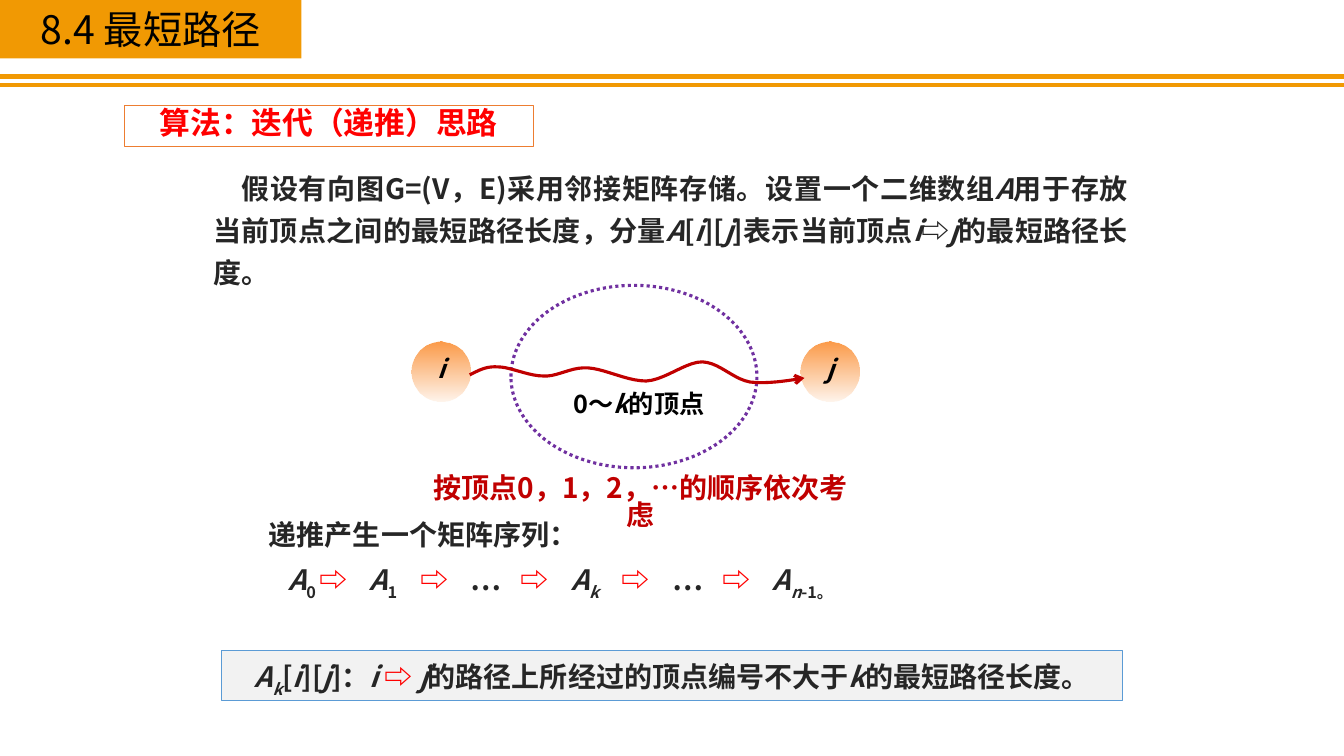
"""Build the slide on the iterative idea behind all-pairs shortest paths."""
from dataclasses import dataclass
from typing import NamedTuple

import lxml.etree
import pptx
import pptx.dml.color
import pptx.enum.dml
import pptx.enum.shapes
import pptx.enum.text
import pptx.oxml.ns
import pptx.util

Pt = pptx.util.Pt
qn = pptx.oxml.ns.qn
FORM = pptx.enum.shapes.MSO_SHAPE
ALIGN = pptx.enum.text.PP_ALIGN
ANCHOR = pptx.enum.text.MSO_ANCHOR

FONT = "Noto Sans CJK SC"
HUES = {
    "band": "F19903", "black": "000000", "ink": "262626", "red": "FF0000",
    "dark": "C00000", "edge": "ED7D31", "blue": "5B9BD5", "grey": "F2F2F2",
    "node": "FC9A48", "ring": "7030A0",
}


class Run(NamedTuple):
    text: str
    slant: bool = False
    hue: str = ""
    base: int = 0


@dataclass
class Para:
    runs: list[Run]
    indent: float = 0
    tabs: tuple[float, ...] = ()
    before: float = 0


@dataclass
class Box:
    place: tuple[float, float, float, float]
    paras: list[Para]
    size: float = 20
    hue: str = "ink"
    bold: bool = True
    align: ALIGN = ALIGN.CENTER
    pitch: float | pptx.util.Length = 0.8
    inset: tuple[float, float, float, float] = (7.2, 3.6, 7.2, 3.6)
    framed: bool = False
    fill: str = ""
    line: str = ""


class Node(NamedTuple):
    name: str
    left: float


def shade(hue: str) -> pptx.dml.color.RGBColor:
    """Return the colour that a hue name stands for."""
    return pptx.dml.color.RGBColor.from_string(HUES[hue])


def paint(shape, fill: str = "", line: str = "", width: float = 0.5) -> None:
    """Set the fill and outline of a shape, or clear them."""
    shape.shadow.inherit = False
    if fill:
        shape.fill.solid()
        shape.fill.fore_color.rgb = shade(fill)
    else:
        shape.fill.background()
    if line:
        shape.line.color.rgb = shade(line)
        shape.line.width = Pt(width)
    else:
        shape.line.fill.background()


def write(frame, box: Box) -> None:
    """Fill a text frame with the paragraphs of a box."""
    frame.word_wrap = True
    frame.vertical_anchor = ANCHOR.TOP
    (frame.margin_left, frame.margin_top,
     frame.margin_right, frame.margin_bottom) = map(Pt, box.inset)
    for rank, para in enumerate(box.paras):
        block = frame.add_paragraph() if rank else frame.paragraphs[0]
        block.alignment = box.align
        block.line_spacing = box.pitch
        if para.before:
            block.space_before = Pt(para.before)
        props = block._p.get_or_add_pPr()
        props.set("marL", "0")
        props.set("indent", str(Pt(para.indent)))
        if para.tabs:
            stops = lxml.etree.SubElement(props, qn("a:tabLst"))
            for stop in para.tabs:
                lxml.etree.SubElement(stops, qn("a:tab"), pos=str(Pt(stop)), algn="l")
        for part in para.runs:
            run = block.add_run()
            run.text = part.text
            font = run.font
            font.size, font.name = Pt(box.size), FONT
            font.bold, font.italic = box.bold, part.slant
            font.color.rgb = shade(part.hue or box.hue)
            traits = run._r.get_or_add_rPr()
            lxml.etree.SubElement(traits, qn("a:ea"), typeface=FONT)
            if part.base:
                traits.set("baseline", str(part.base * 1000))


def add_box(slide, box: Box) -> None:
    """Draw a text box or a framed rectangle with its text."""
    place = map(Pt, box.place)
    if box.framed:
        shape = slide.shapes.add_shape(FORM.RECTANGLE, *place)
        paint(shape, box.fill, box.line)
    else:
        shape = slide.shapes.add_textbox(*place)
    write(shape.text_frame, box)


def add_rule(slide, top: float) -> None:
    """Draw a rule across the slide."""
    rule = slide.shapes.add_connector(
        pptx.enum.shapes.MSO_CONNECTOR.STRAIGHT, Pt(0), Pt(top), Pt(960), Pt(top))
    rule.line.color.rgb = shade("band")
    rule.line.width = Pt(3)
    lxml.etree.SubElement(rule._element.spPr, qn("a:effectLst"))


def add_node(slide, node: Node) -> None:
    """Draw a graph vertex that fades towards its foot."""
    disc = slide.shapes.add_shape(
        FORM.OVAL, Pt(node.left), Pt(244.1), Pt(42.5), Pt(42.5))
    paint(disc)
    disc.fill.gradient()
    disc.fill.gradient_angle = 270
    for stop in disc.fill.gradient_stops:
        stop.color.rgb = shade("node")
    last = disc._element.spPr.findall(".//" + qn("a:srgbClr"))[-1]
    lxml.etree.SubElement(last, qn("a:alpha"), val="10000")
    write(disc.text_frame, Box((0, 0, 0, 0), [Para([Run(node.name, True)])], 18, "black"))
    disc.text_frame.vertical_anchor = ANCHOR.MIDDLE


def add_wave(slide, start: tuple, bends: list[tuple], steps: int = 10) -> None:
    """Draw the wavy arrow through a chain of cubic bends."""
    dots, here = [], start
    for bend in bends:
        knots = (here, bend[:2], bend[2:4], bend[4:])
        for step in range(1, steps + 1):
            t = step / steps
            loads = ((1 - t) ** 3, 3 * t * (1 - t) ** 2, 3 * t * t * (1 - t), t ** 3)
            dots.append(tuple(
                Pt(sum(load * knot[axis] for load, knot in zip(loads, knots)))
                for axis in (0, 1)))
        here = bend[4:]
    pen = slide.shapes.build_freeform(Pt(start[0]), Pt(start[1]))
    pen.add_line_segments(dots, close=False)
    wave = pen.convert_to_shape()
    paint(wave, line="dark", width=2.25)
    lxml.etree.SubElement(wave.line._get_or_add_ln(), qn("a:tailEnd"), type="arrow")


ARROW = Run("⇨\t", hue="red")
BOXES = [
    Box((0, 0, 215.3, 41.8), [Para([Run("8.4 最短路径")])], 28, "black", False,
        inset=(4.3, 10, 4.3, 4.3), framed=True, fill="band"),
    Box((145.4, 113, 667.4, 98), [Para([
        Run("假设有向图G=(V，E)采用邻接矩阵存储。设置一个二维数组"), Run("A", True),
        Run("用于存放当前顶点之间的最短路径长度，分量"), Run("A", True), Run("["),
        Run("i", True), Run("]["), Run("j", True), Run("]表示当前顶点"),
        Run("i", True), Run("⇨"), Run("j", True), Run("的最短路径长度。"),
    ], indent=20)], align=ALIGN.JUSTIFY, pitch=Pt(30)),
    Box((88.6, 75.6, 292.3, 28.8), [Para([Run("算法：迭代（递推）思路")])],
        22, "red", framed=True, line="edge"),
    Box((158.4, 464.4, 643.7, 36), [Para([
        Run("A", True), Run("k", True, base=-30), Run("["), Run("i", True), Run("]["),
        Run("j", True), Run("]："), Run("i ", True), Run("⇨ ", hue="red"),
        Run("j", True), Run("的路径上所经过的顶点编号不大于"), Run("k", True),
        Run("的最短路径长度。"),
    ])], inset=(7.2, 8.6, 7.2, 8.6), framed=True, fill="grey", line="blue"),
    Box((394.6, 278, 123.8, 24.5),
        [Para([Run("0～"), Run("k", True), Run("的顶点")])], 18, "black"),
    Box((294.5, 337, 326.2, 55.4),
        [Para([Run("按顶点0，1，2，…的顺序依次考虑")])], hue="dark"),
    Box((185, 370.8, 455.8, 67.7), [
        Para([Run("递推产生一个矩阵序列：")]),
        Para([
            Run("A", True), Run("0\t", base=-30), ARROW,
            Run("A", True), Run("1\t", base=-30), ARROW, Run("…\t"), ARROW,
            Run("A", True), Run("k\t", True, base=-30), ARROW, Run("…\t"), ARROW,
            Run("A", True), Run("n", True, base=-30), Run("-1。", base=-30),
        ], 14, (39.5, 70, 93.5, 123, 149, 178.5, 202.5, 228, 258, 288), 10),
    ], align=ALIGN.LEFT),
]
NODES = [Node("i", 293.8), Node("j", 571.7)]
BENDS = [
    (341.3, 265, 347, 261.4, 355.7, 262.1),
    (364.3, 262.1, 377.3, 268.6, 388.1, 268.6),
    (398.2, 269.3, 407.5, 262.1, 419.8, 262.8),
    (432, 263.5, 447.8, 272.2, 461.5, 272.2),
    (475.2, 271.4, 489.6, 258.5, 501.8, 258.5),
    (514.1, 259.2, 523.4, 270.7, 535.7, 272.9),
    (547.9, 274.3, 561.6, 272.2, 574.6, 270),
]


def main() -> None:
    """Draw the whole slide and save it."""
    deck = pptx.Presentation()
    deck.slide_width, deck.slide_height = Pt(960), Pt(540)
    slide = deck.slides.add_slide(deck.slide_layouts[6])
    for top in (54.7, 60.5):
        add_rule(slide, top)
    for node in NODES:
        add_node(slide, node)
    ring = slide.shapes.add_shape(FORM.OVAL, Pt(365), Pt(203.8), Pt(175.7), Pt(130.3))
    paint(ring, line="ring", width=2.25)
    ring.line.dash_style = pptx.enum.dml.MSO_LINE.ROUND_DOT
    add_wave(slide, (335.5, 267.8), BENDS)
    for box in BOXES:
        add_box(slide, box)
    deck.save("out.pptx")


if __name__ == "__main__":
    main()
